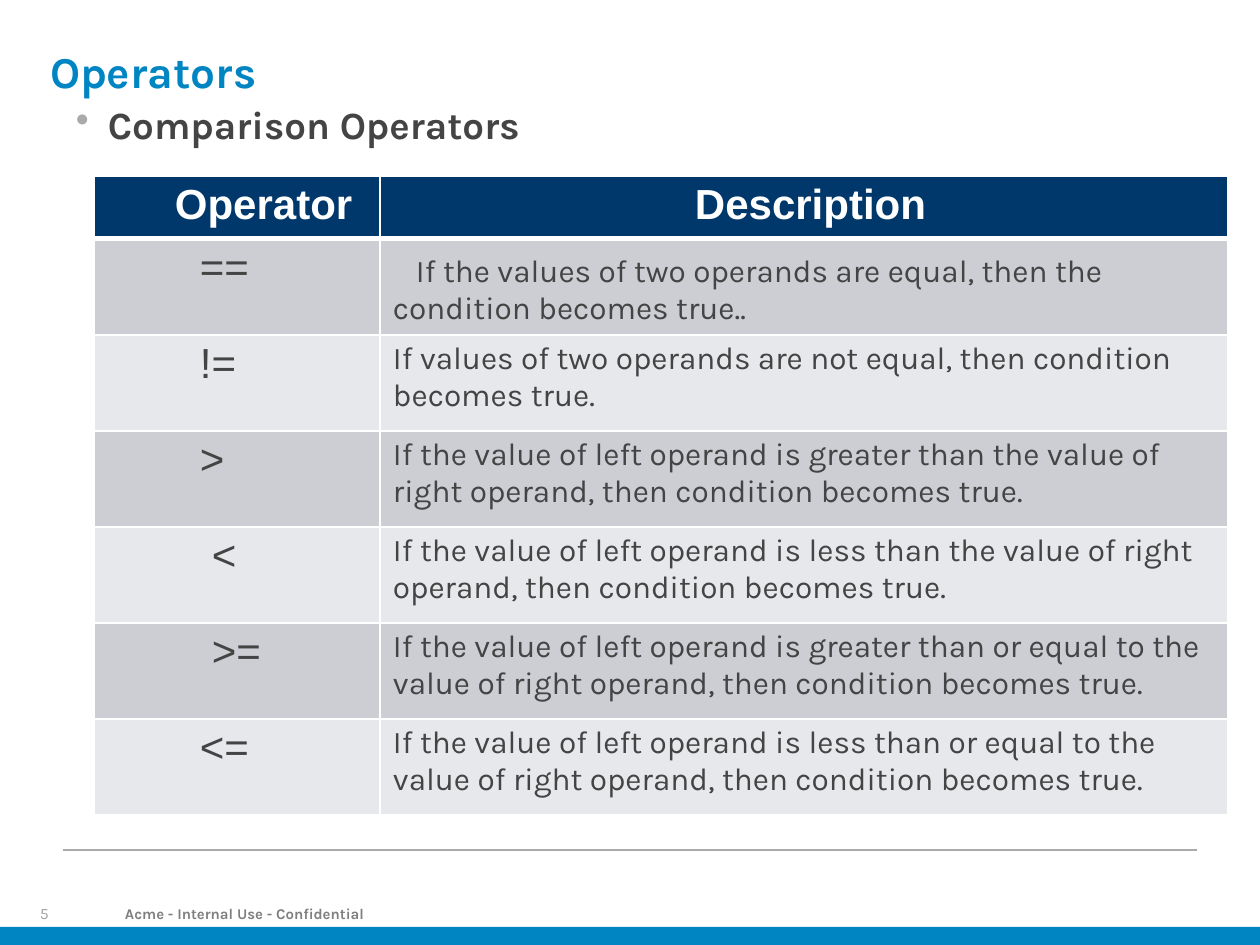
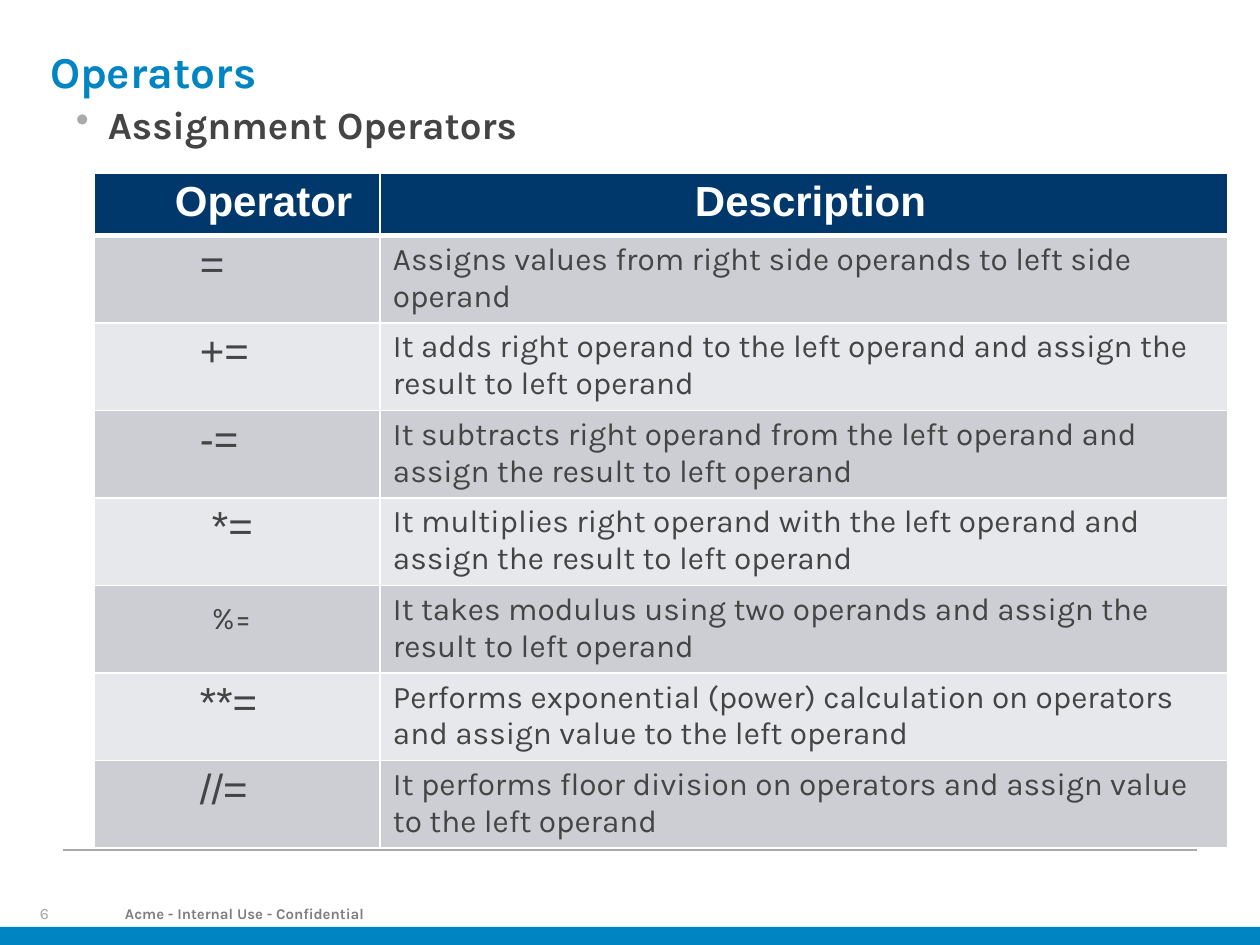
from lxml.etree import SubElement
from pptx import Presentation
from pptx.dml.color import RGBColor
from pptx.enum.shapes import MSO_CONNECTOR as Connector, MSO_SHAPE as Shape
from pptx.enum.text import MSO_ANCHOR as Anchor
from pptx.oxml.ns import qn
from pptx.util import Pt

TITLE = "Operators"
FOOTER = "Acme - Internal Use - Confidential"
HEADINGS = ("Operator", "Description")
FIRST_NUMBER = 5

SLIDES = [
    dict(
        subtitle="Comparison Operators", top=176, row_height=96,
        rows=[
            ("==", "If the values of two operands are equal, then the condition becomes true.."),
            ("!=", "If values of two operands are not equal, then condition becomes true."),
            (">", "If the value of left operand is greater than the value of right operand, "
                  "then condition becomes true."),
            ("<", "If the value of left operand is less than the value of right operand, "
                  "then condition becomes true."),
            (">=", "If the value of left operand is greater than or equal to the value of "
                   "right operand, then condition becomes true."),
            ("<=", "If the value of left operand is less than or equal to the value of "
                   "right operand, then condition becomes true."),
        ],
    ),
    dict(
        subtitle="Assignment Operators", top=173, row_height=86,
        rows=[
            ("=", "Assigns values from right side operands to left side operand"),
            ("+=", "It adds right operand to the left operand and assign the result to left operand"),
            ("-=", "It subtracts right operand from the left operand and assign the result "
                   "to left operand"),
            ("*=", "It multiplies right operand with the left operand and assign the result "
                   "to left operand"),
            ("%=", "It takes modulus using two operands and assign the result to left operand"),
            ("**=", "Performs exponential (power) calculation on operators and assign value "
                    "to the left operand"),
            ("//=", "It performs floor division on operators and assign value to the left operand"),
        ],
    ),
]

BLUE, NAVY, WHITE = "0085C3", "00386B", "FFFFFF"
INK, RULE = "444444", "AAAAAA"
BANDS = ("CCCED4", "E7E8EB")

TITLE_FONT = dict(name="Karla", size=25.2, color=BLUE, bold=True)
SUBTITLE_FONT = dict(name="Karla", size=22, color=INK, bold=True)
FOOTER_FONT = dict(name="Karla", size=8.5, color="7F7F7F", bold=True)
NUMBER_FONT = dict(name="Karla", size=9, color="A2A2A2", bold=False)
HEADING_FONT = dict(name="Arial", size=24, color=WHITE, bold=True)
SYMBOL_FONT = dict(name="Arial", size=24, color=INK, bold=False)
BODY_FONT = dict(name="Karla", size=18, color=INK, bold=False)

TIGHT = dict(line_spacing=0.9)
SPACED = dict(space_before=Pt(1), space_after=Pt(1))

PAGE_WIDTH, PAGE_HEIGHT = 1260, 945
TABLE_LEFT, COLUMNS, HEADER_HEIGHT = 94, (286, 848), 61
CELL_LEFT, CELL_TOP = 13, 6
HEADING_INSETS = (81, 315)
SYMBOL_INSET, SHIFTED_INSET = 106, 118
SHIFTED = {"<", ">=", "*=", "%="}
LOWERED_TOP, FIRST_LINE = 15, 23
BULLET_INDENT = 32


def px(length):
    return round(length * 914400 / 126)


def color(value):
    return RGBColor.from_string(value)


def assign(target, values):
    for name, value in values.items():
        setattr(target, name, value)


def write(frame, text, font, paragraph=None):
    para = frame.paragraphs[0]
    assign(para, paragraph or {})
    span = para.add_run()
    span.text = text
    assign(span.font, dict(name=font["name"], size=Pt(font["size"]), bold=font["bold"]))
    span.font.color.rgb = color(font["color"])
    return para


def add_text(page, place, text, font, paragraph, insets=(0, 0), anchor=Anchor.TOP):
    frame = page.shapes.add_textbox(*map(px, place)).text_frame
    left, top = map(px, insets)
    assign(frame, dict(word_wrap=True, vertical_anchor=anchor, margin_left=left,
                       margin_top=top, margin_right=0, margin_bottom=0))
    return write(frame, text, font, paragraph)


def indent(para, left, first):
    properties = para._p.get_or_add_pPr()
    properties.set("marL", str(px(left)))
    properties.set("indent", str(px(first)))
    return properties


def add_bullet(para):
    properties = indent(para, BULLET_INDENT, -BULLET_INDENT)
    bullet_color = SubElement(properties, qn("a:buClr"))
    SubElement(bullet_color, qn("a:srgbClr"), val=RULE)
    SubElement(properties, qn("a:buChar"), char="•")


def add_frame(page, number, subtitle):
    add_text(page, (0, 901, PAGE_WIDTH, 49), FOOTER, FOOTER_FONT,
             {**TIGHT, **SPACED}, insets=(125, 6))
    add_text(page, (40, 906, 37, 16), str(number), NUMBER_FONT, TIGHT, anchor=Anchor.MIDDLE)

    band = page.shapes.add_shape(Shape.RECTANGLE, *map(px, (0, 927, PAGE_WIDTH, 18)))
    band.shadow.inherit = False
    band.fill.solid()
    band.fill.fore_color.rgb = color(BLUE)
    band.line.fill.background()

    rule = page.shapes.add_connector(Connector.STRAIGHT, *map(px, (63, 850, 1197, 850)))
    rule.line.color.rgb = color(RULE)
    rule.line.width = Pt(0.75)
    SubElement(rule._element.spPr, qn("a:effectLst"))

    add_bullet(add_text(page, (76, 101, 1134, 60), subtitle, SUBTITLE_FONT, SPACED))
    add_text(page, (50, 50, 1092, 50), TITLE, TITLE_FONT, TIGHT)


def format_cell(cell, fill, borders, left=CELL_LEFT, top=CELL_TOP):
    properties = cell._tc.get_or_add_tcPr()
    for side, width in zip("LRTB", borders):
        line = SubElement(properties, qn(f"a:ln{side}"), w=str(Pt(width)))
        line_fill = SubElement(line, qn("a:solidFill"))
        SubElement(line_fill, qn("a:srgbClr"), val=WHITE)
    cell.fill.solid()
    cell.fill.fore_color.rgb = color(fill)
    assign(cell, dict(margin_left=px(left), margin_top=px(top),
                      margin_right=px(CELL_LEFT), margin_bottom=px(CELL_TOP)))


def add_operators(page, top, row_height, rows):
    heights = [HEADER_HEIGHT] + [row_height] * len(rows)
    place = (TABLE_LEFT, top, sum(COLUMNS), sum(heights))
    table = page.shapes.add_table(len(heights), len(COLUMNS), *map(px, place)).table
    for column, width in zip(table.columns, COLUMNS):
        column.width = px(width)
    for row, height in zip(table.rows, heights):
        row.height = px(height)

    for index, (heading, inset) in enumerate(zip(HEADINGS, HEADING_INSETS)):
        cell = table.cell(0, index)
        format_cell(cell, NAVY, (1, 1, 1, 3), inset)
        write(cell.text_frame, heading, HEADING_FONT)

    for index, (symbol, description) in enumerate(rows):
        fill = BANDS[index % 2]
        borders = (1, 1, 1 if index else 3, 1)
        small, indented = symbol == "%=", symbol == "=="

        cell = table.cell(index + 1, 0)
        format_cell(cell, fill, borders,
                    SHIFTED_INSET if symbol in SHIFTED else SYMBOL_INSET,
                    LOWERED_TOP if small else CELL_TOP)
        write(cell.text_frame, symbol, BODY_FONT if small else SYMBOL_FONT)

        cell = table.cell(index + 1, 1)
        format_cell(cell, fill, borders, top=LOWERED_TOP if indented else CELL_TOP)
        para = write(cell.text_frame, description, BODY_FONT)
        if indented:
            indent(para, 0, FIRST_LINE)


def main():
    deck = Presentation()
    assign(deck, dict(slide_width=px(PAGE_WIDTH), slide_height=px(PAGE_HEIGHT)))
    for number, content in enumerate(SLIDES, FIRST_NUMBER):
        page = deck.slides.add_slide(deck.slide_layouts[6])
        add_frame(page, number, content["subtitle"])
        add_operators(page, content["top"], content["row_height"], content["rows"])
    deck.save("out.pptx")


if __name__ == "__main__":
    main()
